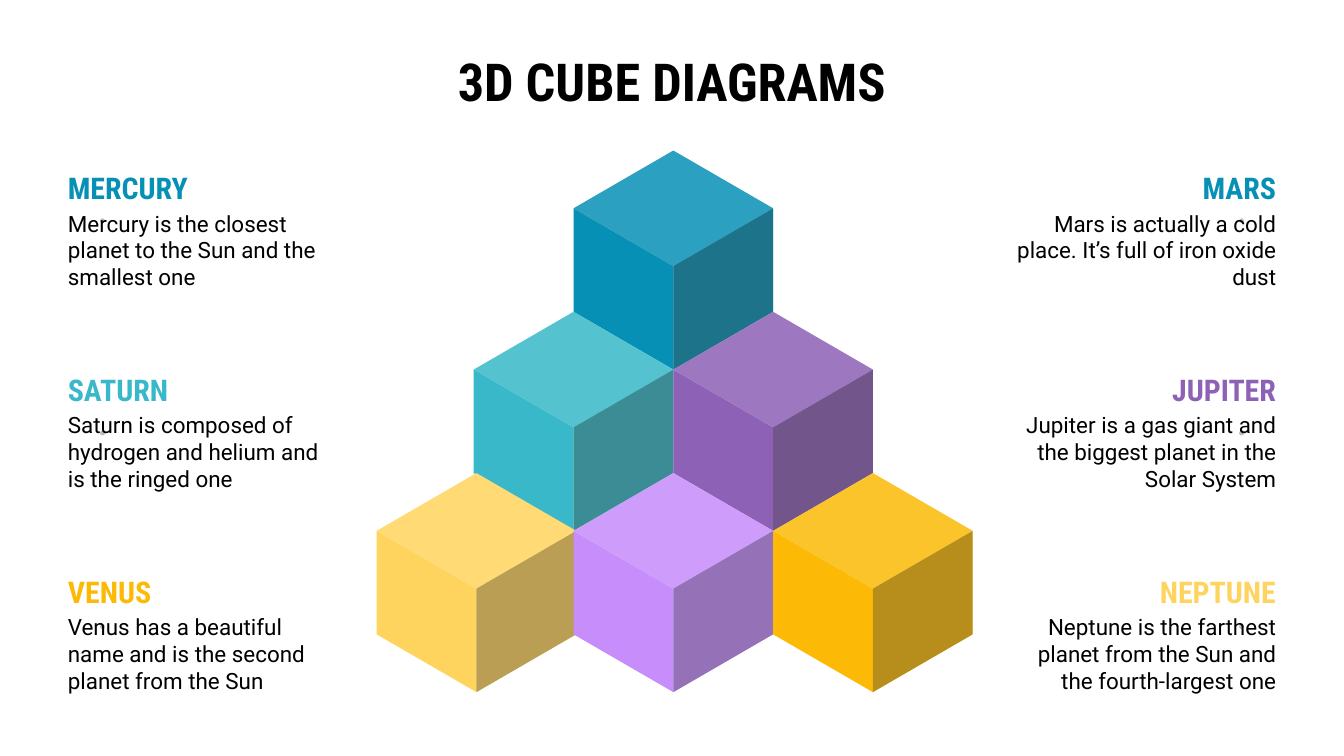
from lxml import etree
from pptx import Presentation
from pptx.dml.color import RGBColor
from pptx.enum.shapes import MSO_SHAPE
from pptx.enum.text import MSO_ANCHOR, MSO_AUTO_SIZE, PP_ALIGN
from pptx.oxml.ns import qn
from pptx.util import Inches, Pt

LEFT, CENTER, RIGHT = PP_ALIGN.LEFT, PP_ALIGN.CENTER, PP_ALIGN.RIGHT
TOP, NO_FIT, OVAL = MSO_ANCHOR.TOP, MSO_AUTO_SIZE.NONE, MSO_SHAPE.OVAL
TITLE_ONLY = 5
PAGE_WIDTH, PAGE_HEIGHT = 20, 11.25
HEADING_FONT, BODY_FONT = "Roboto Condensed", "Roboto"

# Cube pyramid: one cube is two half-widths wide, with a tilted lid
APEX_X, APEX_Y = 10.02, 2.24
CUBE_WIDTH, TILT, DEPTH = 2.97, 0.86, 1.54
LIGHT, SHADE = ("FFFFFF", 15), ("434343", 37)

# Colour and sideways nudge of each cube, row by row from the top
CUBE_ROWS = [
    [("0690B5", 0)],
    [("38B8C8", 0), ("8D61B6", 0)],
    [("FFD45E", 0.04), ("C68DFB", 0), ("FCBA06", 0)],
]

# Label columns
ROW_TOP, ROW_PITCH, BODY_DROP = 2.25, 3, 0.67
MARGIN = 0.81
DOT_TOPS, DOT_SIZE = [3.25, 6.41, 9.29], 0.07
LEFT_LABELS = [
    ("MERCURY", "0690B5", "Mercury is the closest planet to the Sun and the smallest one"),
    ("SATURN", "38B8C8", "Saturn is composed of hydrogen and helium and is the ringed one"),
    ("VENUS", "FCBA06", "Venus has a beautiful name and is the second planet from the Sun"),
]
RIGHT_LABELS = [
    ("MARS", "0690B5", "Mars is actually a cold place. It’s full of iron oxide dust"),
    ("JUPITER", "8D61B6", "Jupiter is a gas giant and the biggest planet in the Solar System"),
    ("NEPTUNE", "FFD45E", "Neptune is the farthest planet from the Sun and the fourth-largest one"),
]


def paint(shape, color, opacity=100):
    """Fill a shape flat, without outline or shadow; opacity is in percent."""
    shape.shadow.inherit = False
    shape.line.fill.background()
    shape.fill.solid()
    shape.fill.fore_color.rgb = RGBColor.from_string(color)
    if opacity < 100:
        color_element = shape.fill._xPr.find(qn("a:solidFill"))[0]
        etree.SubElement(color_element, qn("a:alpha")).set("val", str(opacity * 1000))


def write(box, text, font, size, color, align=LEFT, bold=False):
    frame = box.text_frame
    frame.word_wrap = True
    frame.auto_size = NO_FIT
    frame.vertical_anchor = TOP
    frame.margin_left = frame.margin_right = Inches(0.2)
    frame.margin_top = frame.margin_bottom = Inches(0.2)
    para = frame.paragraphs[0]
    para.alignment = align
    span = para.add_run()
    span.text = text
    span.font.name = font
    span.font.size = Pt(size)
    span.font.bold = bold
    span.font.color.rgb = RGBColor.from_string(color)
    return para


def add_title(page, text):
    box = page.shapes.title
    box.left, box.top = Inches(1), Inches(0.53)
    box.width, box.height = Inches(PAGE_WIDTH - 2), Inches(1.25)
    write(box, text, HEADING_FONT, 56, "000000", CENTER, bold=True)


def add_face(page, points, color, opacity=100):
    corners = [(Inches(x), Inches(y)) for x, y in points]
    builder = page.shapes.build_freeform(*corners[0])
    builder.add_line_segments(corners[1:], close=True)
    paint(builder.convert_to_shape(), color, opacity)


def add_cube(page, x, y, color):
    """Draw a cube whose back corner is at x, y."""
    half = CUBE_WIDTH / 2
    left, right = (x - half, y + TILT), (x + half, y + TILT)
    front = (x, y + 2 * TILT)

    def below(point):
        return point[0], point[1] + DEPTH

    lid = [(x, y), left, front, right]
    left_side = [left, below(left), below(front), front]
    right_side = [right, front, below(front), below(right)]
    for face in (lid, left_side, right_side):
        add_face(page, face, color)
    add_face(page, lid, *LIGHT)
    add_face(page, right_side, *SHADE)


def add_pyramid(page):
    for row, cubes in enumerate(CUBE_ROWS):
        for column, (color, nudge) in enumerate(cubes):
            x = APEX_X + (column - row / 2) * CUBE_WIDTH + nudge
            add_cube(page, x, APEX_Y + row * (TILT + DEPTH), color)


def add_labels(page, labels, align, body_width, dot_left):
    """Stack headings and texts at the margin that align points to."""
    def add_box(top, width, height):
        left = MARGIN if align == LEFT else PAGE_WIDTH - MARGIN - width
        return page.shapes.add_textbox(Inches(left), Inches(top), Inches(width), Inches(height))

    for row, (name, color, text) in enumerate(labels):
        top = ROW_TOP + row * ROW_PITCH
        dot = page.shapes.add_shape(OVAL, Inches(dot_left), Inches(DOT_TOPS[row]),
                                    Inches(DOT_SIZE), Inches(DOT_SIZE))
        paint(dot, "B9BDC0")
        write(add_box(top + BODY_DROP, body_width, 1.25), text, BODY_FONT, 24, "000000", align)
        heading = write(add_box(top, 2.86, 0.84), name, HEADING_FONT, 32, color, align, bold=True)
        heading.line_spacing = 1.15
        heading.space_after = Pt(32)


def main():
    deck = Presentation()
    deck.slide_width, deck.slide_height = Inches(PAGE_WIDTH), Inches(PAGE_HEIGHT)
    page = deck.slides.add_slide(deck.slide_layouts[TITLE_ONLY])
    add_title(page, "3D CUBE DIAGRAMS")
    add_pyramid(page)
    add_labels(page, LEFT_LABELS, LEFT, 4.21, 1.49)
    add_labels(page, RIGHT_LABELS, RIGHT, 4.35, 18.44)
    deck.save("out.pptx")


if __name__ == "__main__":
    main()
